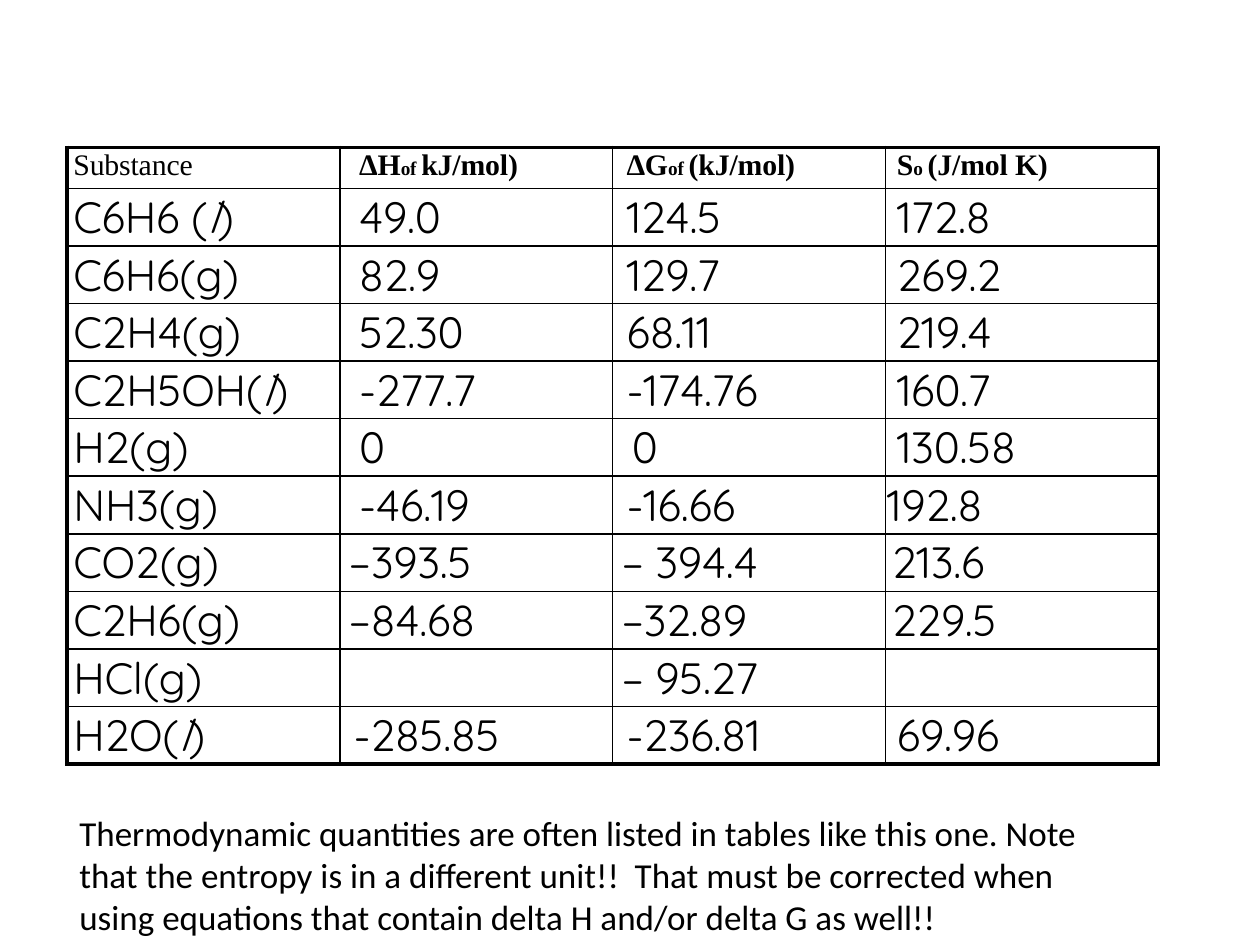
from dataclasses import dataclass

from lxml.etree import SubElement
from pptx import Presentation
from pptx.dml.color import RGBColor
from pptx.enum.text import MSO_AUTO_SIZE
from pptx.oxml.ns import qn
from pptx.util import Cm, Pt


@dataclass(frozen=True)
class Theme:
    ink: str = "000000"
    header_font: str = "Times New Roman"
    value_font: str = "Quicksand"
    note_font: str = "Calibri"
    header_size: float = 17
    script_size: float = 11
    value_size: float = 25
    note_size: float = 20
    inner_line: float = 1
    outer_line: float = 2.25
    tracking: int = -10


@dataclass(frozen=True)
class Span:
    text: str
    font: str
    size: float
    bold: bool = False
    italic: bool = False


@dataclass(frozen=True)
class Entry:
    """A table value whose indent (cm) departs from that of its column."""
    text: str
    indent: float


THEME = Theme()
LEFT, TABLE_TOP = 1.35, 2.97
COLUMN_WIDTH, HEADER_HEIGHT, ROW_HEIGHT = 5.5, 0.83, 1.16
COLUMN_INDENTS = (0.1, 0.36, 0.25, 0.2)
MARGINS = {"margin_left": Cm(0.03), "margin_right": Cm(0.03),
           "margin_top": Cm(0.03), "margin_bottom": 0}

# Each heading is (symbol, small script, unit).
HEADINGS = (("ΔH", "of ", "kJ/mol)"), ("ΔG", "of ", "(kJ/mol)"),
            ("S", "o ", "(J/mol K)"))
SUBSTANCES = (
    ("C6H6 (l)", "49.0", "124.5", "172.8"),
    ("C6H6(g)", "82.9", "129.7", "269.2"),
    ("C2H4(g)", "52.30", "68.11", "219.4"),
    ("C2H5OH(l)", "-277.7", "-174.76", "160.7"),
    ("H2(g)", "0", Entry("0", 0.36), "130.58"),
    ("NH3(g)", "-46.19", "-16.66", Entry("192.8", 0)),
    ("CO2(g)", Entry("–393.5", 0.15), Entry("– 394.4", 0.15), Entry("213.6", 0.1)),
    ("C2H6(g)", Entry("–84.68", 0.15), Entry("–32.89", 0.15), Entry("229.5", 0.1)),
    ("HCl(g)", "", Entry("– 95.27", 0.15), ""),
    ("H2O(l)", Entry("-285.85", 0.25), "-236.81", "69.96"),
)
NOTE = ("Thermodynamic quantities are often listed in tables like this one. "
        "Note that the entropy is in a different unit!!  That must be corrected "
        "when using equations that contain delta H and/or delta G as well!!")


def heading_spans(symbol: str, script: str, unit: str) -> list[Span]:
    sizes = (THEME.header_size, THEME.script_size, THEME.header_size)
    return [Span(text, THEME.header_font, size, bold=True)
            for text, size in zip((symbol, script, unit), sizes)]


def value_spans(text: str) -> list[Span]:
    """Set the liquid mark (l) in italics."""
    stem, mark, _ = text.partition("(l)")
    parts = [(stem + "(", False), ("l", True), (")", False)] if mark else [(text, False)]
    return [Span(part, THEME.value_font, THEME.value_size, italic=italic)
            for part, italic in parts if part]


def add_span(para, span: Span, tracking: int = 0) -> None:
    run = para.add_run()
    run.text = span.text
    formats = {"name": span.font, "size": Pt(span.size),
               "bold": span.bold, "italic": span.italic}
    for name, value in formats.items():
        setattr(run.font, name, value)
    run.font.color.rgb = RGBColor.from_string(THEME.ink)
    if tracking:
        run.font._element.set("spc", str(tracking))


def add_border(cell, side: str, width: float) -> None:
    line = SubElement(cell._tc.get_or_add_tcPr(), qn(f"a:ln{side}"), w=str(Pt(width)))
    fill = SubElement(line, qn("a:solidFill"))
    SubElement(fill, qn("a:srgbClr"), val=THEME.ink)


def fill_cell(cell, spans: list[Span], indent: float, outer_sides: str) -> None:
    for name, value in MARGINS.items():
        setattr(cell, name, value)
    for side in "LRTB":
        add_border(cell, side,
                   THEME.outer_line if side in outer_sides else THEME.inner_line)
    cell.fill.background()
    para = cell.text_frame.paragraphs[0]
    para._p.get_or_add_pPr().set("marL", str(Cm(indent)))
    for span in spans:
        add_span(para, span, THEME.tracking)


def add_substance_table(page) -> None:
    row_count, column_count = len(SUBSTANCES) + 1, len(COLUMN_INDENTS)
    table = page.shapes.add_table(
        row_count, column_count, Cm(LEFT), Cm(TABLE_TOP),
        Cm(COLUMN_WIDTH * column_count),
        Cm(HEADER_HEIGHT + ROW_HEIGHT * len(SUBSTANCES))).table
    table.first_row = table.horz_banding = False
    for column in table.columns:
        column.width = Cm(COLUMN_WIDTH)
    for index, row in enumerate(table.rows):
        row.height = Cm(ROW_HEIGHT if index else HEADER_HEIGHT)

    substance = Span("Substance", THEME.header_font, THEME.header_size)
    grid = [[([substance], COLUMN_INDENTS[0])]
            + [(heading_spans(*heading), indent)
               for heading, indent in zip(HEADINGS, COLUMN_INDENTS[1:])]]
    for values in SUBSTANCES:
        entries = [value if isinstance(value, Entry) else Entry(value, indent)
                   for value, indent in zip(values, COLUMN_INDENTS)]
        grid.append([(value_spans(entry.text), entry.indent) for entry in entries])

    for i, row in enumerate(grid):
        for j, (spans, indent) in enumerate(row):
            edges = {"L": j == 0, "R": j == column_count - 1,
                     "T": i == 0, "B": i == row_count - 1}
            outer_sides = "".join(side for side, outer in edges.items() if outer)
            fill_cell(table.cell(i, j), spans, indent, outer_sides)


def add_note(page) -> None:
    box = page.shapes.add_textbox(Cm(LEFT), Cm(16.23), Cm(21.4), Cm(2.82))
    frame = box.text_frame
    frame.word_wrap = True
    frame.auto_size = MSO_AUTO_SIZE.SHAPE_TO_FIT_TEXT
    add_span(frame.paragraphs[0], Span(NOTE, THEME.note_font, THEME.note_size))


def main() -> None:
    deck = Presentation()
    deck.slide_width, deck.slide_height = Cm(25.4), Cm(19.05)
    page = deck.slides.add_slide(deck.slide_layouts[6])
    add_substance_table(page)
    add_note(page)
    deck.save("out.pptx")


if __name__ == "__main__":
    main()
